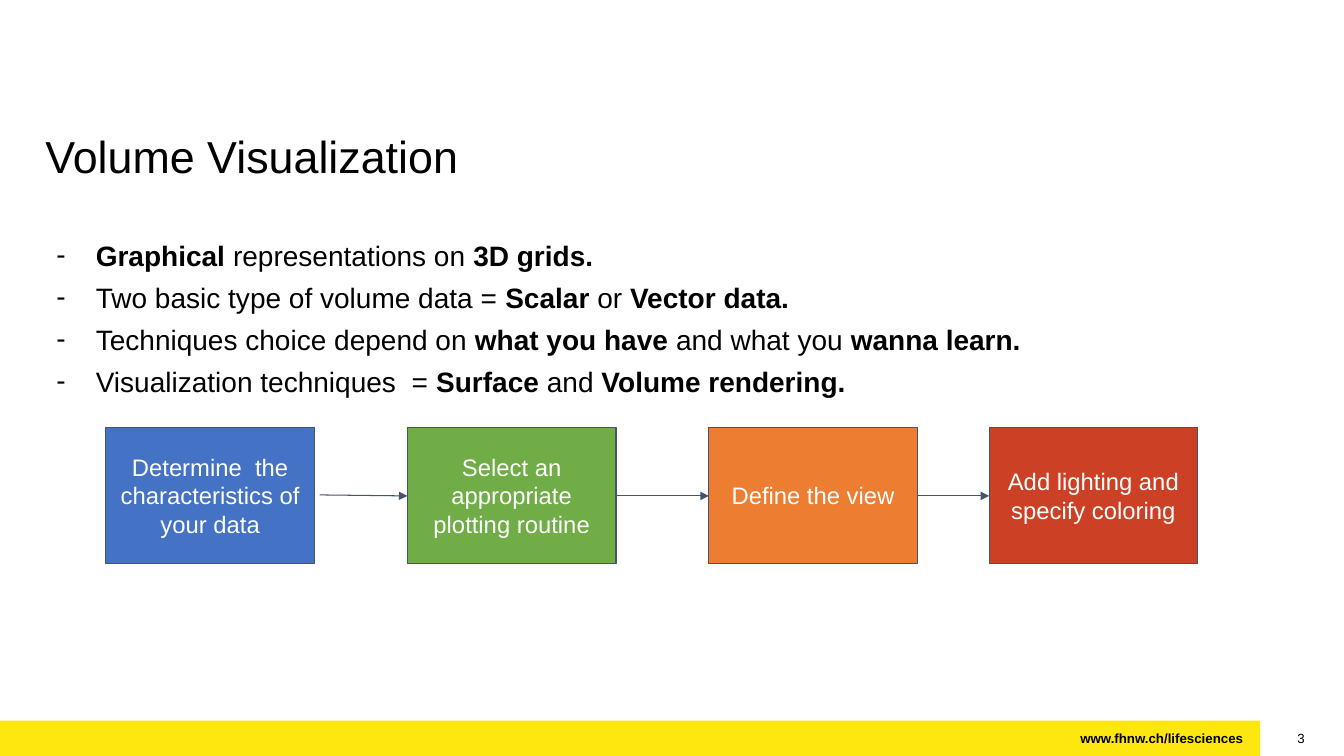
from lxml import etree
from pptx import Presentation
from pptx.dml.color import RGBColor
from pptx.enum.shapes import MSO_CONNECTOR, MSO_SHAPE
from pptx.enum.text import MSO_ANCHOR, MSO_AUTO_SIZE, PP_ALIGN
from pptx.oxml.ns import qn
from pptx.util import Inches, Pt

RECT, LINE = MSO_SHAPE.RECTANGLE, MSO_CONNECTOR.STRAIGHT
TOP, MID, FIXED = MSO_ANCHOR.TOP, MSO_ANCHOR.MIDDLE, MSO_AUTO_SIZE.NONE
LEFT, MIDDLE, RIGHT = PP_ALIGN.LEFT, PP_ALIGN.CENTER, PP_ALIGN.RIGHT
HUES = {
    "black": "000000", "white": "FFFFFF", "yellow": "FDE70E", "slate": "44546A",
    "blue": "4472C4", "green": "70AD47", "orange": "ED7D31", "red": "CC4125",
}
POINTS = [
    [("Graphical ", True), ("representations on ", False), ("3D grids.", True)],
    [("Two basic type of volume data = ", False), ("Scalar ", True),
     ("or", False), (" Vector data.", True)],
    [("Techniques choice depend on ", False), ("what you have", True),
     (" and what you ", False), ("wanna learn.", True)],
    [("Visualization techniques  = ", False), ("Surface ", True),
     ("and", False), (" Volume rendering.", True)],
]
STEPS = [
    (1.05, "blue", "Determine  the characteristics of your data"),
    (4.04, "green", "Select an appropriate plotting routine"),
    (7.03, "orange", "Define the view"),
    (9.81, "red", "Add lighting and specify coloring"),
]


def hue(name):
    """Return the named colour."""
    return RGBColor.from_string(HUES[name])


def put(item, values):
    """Set each attribute in values on item."""
    for key, value in values.items():
        setattr(item, key, value)


def place(shape, box):
    """Move a shape to a box given in inches."""
    put(shape, dict(zip(("left", "top", "width", "height"), map(Inches, box))))


def frame(shape, inset=0, anchor=TOP):
    """Format the text frame of a shape and return it."""
    edge = Inches(inset)
    put(shape.text_frame, {
        "word_wrap": True, "auto_size": FIXED, "vertical_anchor": anchor,
        "margin_left": edge, "margin_right": edge,
        "margin_top": edge, "margin_bottom": edge,
    })
    return shape.text_frame


def write(para, runs, size, tint="black", align=LEFT):
    """Add runs of text and weight to a paragraph."""
    para.alignment = align
    for text, bold in runs:
        run = para.add_run()
        run.text = text
        put(run.font, {"name": "Arial", "size": Pt(size), "bold": bold})
        run.font.color.rgb = hue(tint)


def block(slide, box, fill):
    """Draw a filled rectangle without an outline."""
    shape = slide.shapes.add_shape(RECT, *map(Inches, box))
    shape.shadow.inherit = False
    shape.fill.solid()
    shape.fill.fore_color.rgb = hue(fill)
    shape.line.fill.background()
    return shape


def edge(line):
    """Give an outline the slate stroke."""
    line.color.rgb = hue("slate")
    line.width = Pt(0.75)


def footer(slide, box):
    """Draw the yellow bar, web address and page number."""
    left, top, width, height = box
    block(slide, (left, top, width - 0.83, height), "yellow")
    for text, bold, start, span in (
        ("www.fhnw.ch/lifesciences", True, 10.6, 1.73), ("3", False, 12.53, 0.41),
    ):
        label = slide.shapes.add_textbox(
            *map(Inches, (left + start, top + 0.09, span, 0.16)))
        write(frame(label).paragraphs[0], [(text, bold)], 9.5, align=RIGHT)


def heading(slide, box):
    """Fill the title placeholder."""
    title = slide.shapes.title
    place(title, box)
    write(frame(title).paragraphs[0], [("Volume Visualization", False)], 32)


def bullets(slide, box):
    """Fill the body placeholder with dashed points."""
    body = slide.placeholders[1]
    place(body, box)
    text = frame(body)
    for i, runs in enumerate(POINTS):
        para = text.add_paragraph() if i else text.paragraphs[0]
        props = para._p.get_or_add_pPr()
        props.set("marL", str(Inches(0.5)))
        props.set("indent", str(Inches(-0.39)))
        tone = etree.SubElement(props, qn("a:buClr"))
        etree.SubElement(tone, qn("a:srgbClr"), val=HUES["black"])
        etree.SubElement(props, qn("a:buFont"), typeface="Arial")
        etree.SubElement(props, qn("a:buChar"), char="-")
        put(para, {"line_spacing": 1.25, "space_before": Pt(0), "space_after": Pt(0)})
        write(para, runs, 20)


def arrow(slide, start, end):
    """Draw an arrow between two points."""
    link = slide.shapes.add_connector(LINE, *map(Inches, start + end))
    edge(link.line)
    etree.SubElement(link.line._get_or_add_ln(), qn("a:tailEnd"), type="triangle")
    etree.SubElement(link._element.spPr, qn("a:effectLst"))


def flow(slide, box):
    """Draw the row of steps joined by arrows."""
    left, top, wide, high = box
    mid = top + 0.68
    for x, fill, text in STEPS:
        step = block(slide, (x, top, wide, high), fill)
        edge(step.line)
        para = frame(step, 0.1, MID).paragraphs[0]
        write(para, [(text, False)], 17, "white", MIDDLE)
    stops = [x for x, _, _ in STEPS]
    for x, end in zip(stops, stops[1:]):
        first = x == left
        start = (x + wide + 0.05, mid - 0.01) if first else (x + wide, mid)
        arrow(slide, start, (end, mid))


def main():
    """Build and save the slide."""
    deck = Presentation()
    put(deck, {"slide_width": Inches(13.33), "slide_height": Inches(7.5)})
    slide = deck.slides.add_slide(deck.slide_layouts[1])
    footer(slide, (0, 7.15, 13.33, 0.35))
    heading(slide, (0.45, 1.28, 12.04, 0.54))
    bullets(slide, (0.45, 2.28, 12.04, 1.96))
    flow(slide, (1.05, 4.24, 2.07, 1.35))
    deck.save("out.pptx")


if __name__ == "__main__":
    main()
